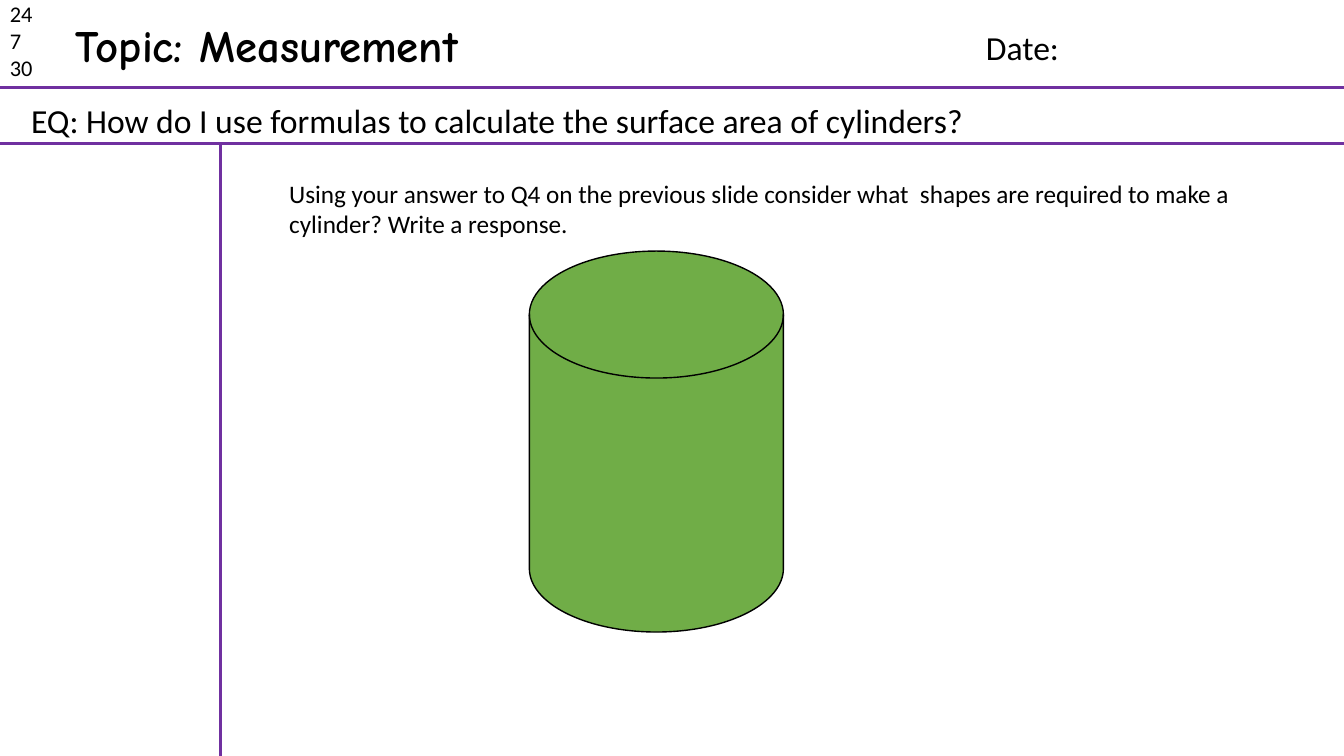
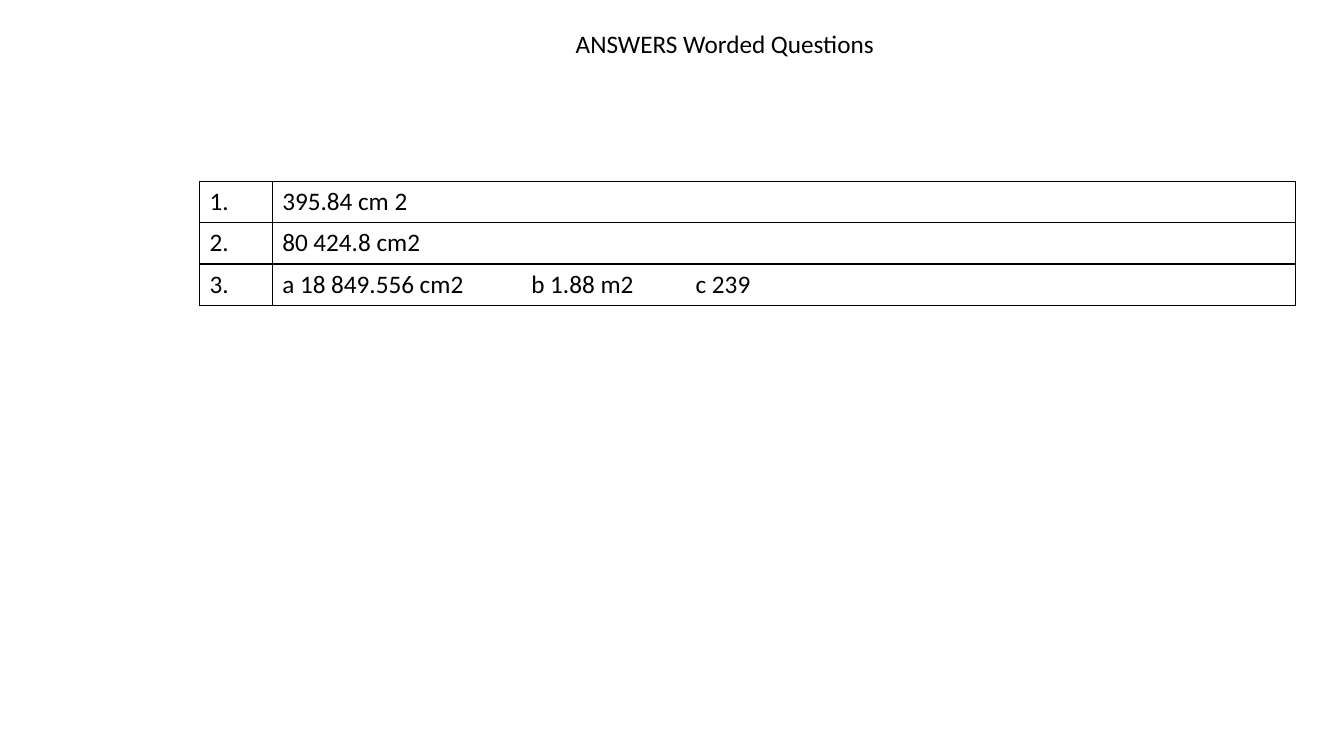
"""Builds two lesson slides on the surface area of cylinders."""
from lxml import etree
from pptx import Presentation
from pptx.dml.color import RGBColor
from pptx.enum.shapes import MSO_CONNECTOR, MSO_SHAPE
from pptx.enum.text import MSO_ANCHOR, MSO_AUTO_SIZE, PP_ALIGN
from pptx.oxml.ns import qn
from pptx.util import Inches, Pt

STRAIGHT = MSO_CONNECTOR.STRAIGHT
DRUM = MSO_SHAPE.FLOWCHART_DIRECT_ACCESS_STORAGE
TOP, LEFT, NO_FIT = MSO_ANCHOR.TOP, PP_ALIGN.LEFT, MSO_AUTO_SIZE.NONE
WIDE, HIGH = 13.33, 7.5
SIDES = ("a:lnL", "a:lnR", "a:lnT", "a:lnB")


def rgb(code):
    """Turn a hex string into a colour."""
    return RGBColor.from_string(code)


class Deck:
    """Holds the style and the current slide."""

    ink, rule, leaf, paper = "000000", "7030A0", "70AD47", "FFFFFF"
    face, script = "Calibri", "Comic Neue"

    def __init__(self):
        """Start an empty wide deck."""
        self.file = Presentation()
        self.file.slide_width = Inches(WIDE)
        self.file.slide_height = Inches(HIGH)
        self.slide = None

    def page(self):
        """Add a slide that has only a title."""
        self.slide = self.file.slides.add_slide(self.file.slide_layouts[5])

    def style(self, frame, size, face=None, bold=False):
        """Format every run of a text frame."""
        for para in frame.paragraphs:
            para.alignment = LEFT
            for run in para.runs:
                font = run.font
                font.name, font.size, font.bold = face or self.face, Pt(size), bold
                font.color.rgb = rgb(self.ink)

    def fill(self, frame, text, size, face=None, bold=False):
        """Write wrapped text from the top of a frame."""
        frame.text = text
        frame.word_wrap, frame.auto_size = True, NO_FIT
        frame.vertical_anchor = TOP
        self.style(frame, size, face, bold)

    def title(self, text, box, size, face=None, bold=False):
        """Place and format the slide title."""
        head = self.slide.shapes.title
        head.left, head.top, head.width, head.height = map(Inches, box)
        self.fill(head.text_frame, text, size, face, bold)

    def text(self, text, box, size):
        """Add a text box."""
        area = self.slide.shapes.add_textbox(*map(Inches, box))
        self.fill(area.text_frame, text, size)

    def line(self, *ends):
        """Add a ruled line."""
        rule = self.slide.shapes.add_connector(STRAIGHT, *map(Inches, ends))
        rule.line.color.rgb, rule.line.width = rgb(self.rule), Pt(2.25)
        etree.SubElement(rule.element.spPr, qn("a:effectLst"))

    def drum(self, box, turn):
        """Add a turned cylinder."""
        shape = self.slide.shapes.add_shape(DRUM, *map(Inches, box))
        shape.rotation, shape.shadow.inherit = turn, False
        shape.fill.solid()
        shape.fill.fore_color.rgb = rgb(self.leaf)
        shape.line.color.rgb, shape.line.width = rgb(self.ink), Pt(1)

    def edge(self, cell):
        """Draw the four borders of a cell."""
        props = cell._tc.get_or_add_tcPr()
        for side in SIDES:
            line = etree.SubElement(props, qn(side), w=str(Pt(1)))
            fill = etree.SubElement(line, qn("a:solidFill"))
            etree.SubElement(fill, qn("a:srgbClr"), val=self.ink)

    def tabs(self, para, stops):
        """Set the tab stops of a paragraph."""
        group = etree.SubElement(para._p.get_or_add_pPr(), qn("a:tabLst"))
        for stop in stops:
            etree.SubElement(group, qn("a:tab"), pos=str(Inches(stop)), algn="l")

    def table(self, rows, left, top, cols, high, size, stops):
        """Add a plain ruled table."""
        box = (left, top, sum(cols), high * len(rows))
        grid = self.slide.shapes.add_table(
            len(rows), len(cols), *map(Inches, box)).table
        grid.first_row = grid.horz_banding = False
        for col, width in zip(grid.columns, cols):
            col.width = Inches(width)
        for row, words in zip(grid.rows, rows):
            row.height = Inches(high)
            for cell, word in zip(row.cells, words):
                self.edge(cell)
                cell.fill.solid()
                cell.fill.fore_color.rgb = rgb(self.paper)
                cell.text_frame.text = word
                if "\t" in word:
                    self.tabs(cell.text_frame.paragraphs[0], stops)
                self.style(cell.text_frame, size)


def main():
    """Build and save both slides."""
    deck = Deck()

    deck.page()
    deck.title("Topic: Measurement", (0.65, 0.13, 4.5, 0.64), 32, deck.script, True)
    for level in (0.87, 1.42):
        deck.line(0, level, WIDE, level)
    deck.line(2.19, 1.44, 2.19, HIGH)
    deck.text("24\n7\n30", (0, -0.05, 0.63, 0.91), 16)
    deck.text("Date:", (9.68, 0.22, 2.89, 0.5), 24)
    deck.text("EQ: How do I use formulas to calculate the surface area of cylinders?",
              (0.21, 0.94, 11.6, 0.5), 24)
    deck.text("Using your answer to Q4 on the previous slide consider what  shapes "
              "are required to make a cylinder? Write a response.",
              (2.77, 1.72, 9.96, 0.71), 18)
    deck.drum((4.62, 3.12, 3.78, 2.52), 270)

    deck.page()
    deck.title("ANSWERS Worded Questions", (5.61, 0.23, 3.5, 0.71), 18)
    rows = (("1.", "395.84 cm 2"),
            ("2.", "80 424.8 cm2"),
            ("3.", "a 18 849.556 cm2\tb 1.88 m2\tc 239"))
    deck.table(rows, 1.98, 1.8, (0.72, 10.15), 0.41, 18, (2.47, 4.1))

    deck.file.save("out.pptx")


if __name__ == "__main__":
    main()
